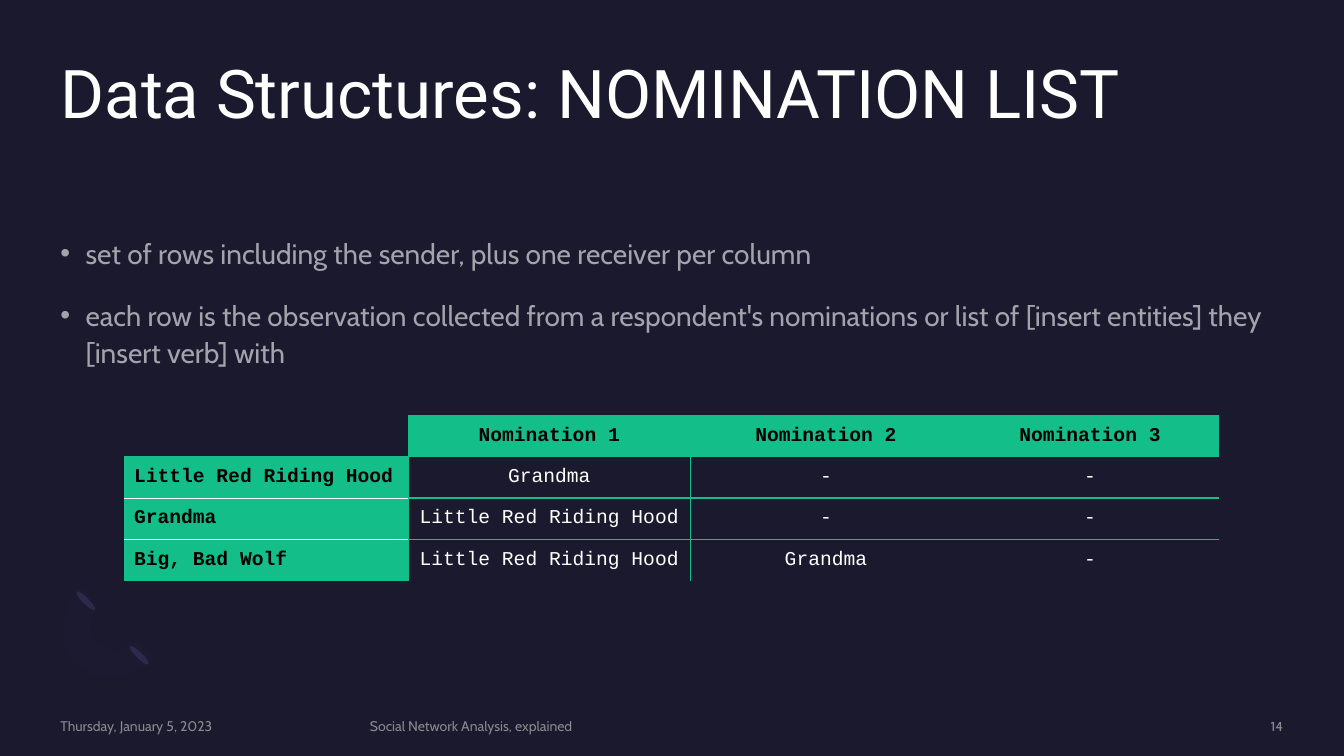
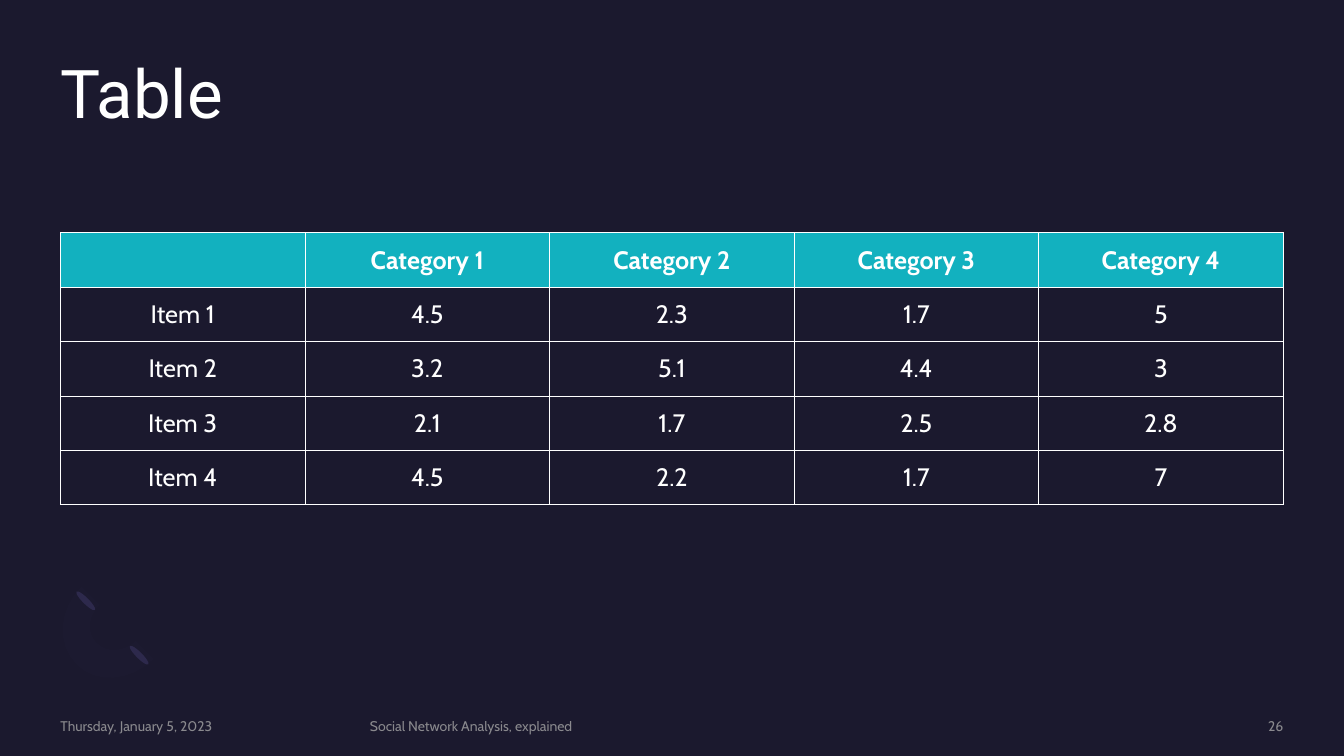
from dataclasses import dataclass

from lxml import etree
from pptx import Presentation
from pptx import util as u
from pptx.dml.color import RGBColor
from pptx.enum import shapes, text
from pptx.oxml.ns import qn


@dataclass(frozen=True)
class Theme:
    background: str = "1B192E"
    white: str = "FFFFFF"
    black: str = "000000"
    grey: str = "A6A6A6"
    green: str = "13BE89"
    teal: str = "12B1BF"
    petal: str = "2C284A"
    arc: str = "7771B2"
    title_font: str = "Roboto"
    body_font: str = "Cabin"
    code_font: str = "Courier New"
    title_size: int = 48
    body_size: int = 20
    grid_size: int = 18
    list_size: int = 14
    footer_size: int = 10


theme = Theme()
PX = 9144
LEFT, WIDTH = 60, 1213
ALIGN = text.PP_ALIGN
MIDDLE = text.MSO_ANCHOR.MIDDLE


def paint(fill, properties, color, alpha=100):
    fill.solid()
    fill.fore_color.rgb = RGBColor.from_string(color)
    if alpha < 100:
        tint = properties.find(qn("a:solidFill")).find(qn("a:srgbClr"))
        etree.SubElement(tint, qn("a:alpha"), val=str(alpha * 1000))


def write(frame, lines, *, font=theme.body_font, size=theme.body_size, color=theme.white,
          alpha=100, bold=False, align=ALIGN.LEFT, anchor=text.MSO_ANCHOR.TOP,
          spacing=None, before=0, after=0, bullet=None):
    frame.word_wrap = True
    frame.vertical_anchor = anchor
    for number, line in enumerate(lines):
        para = frame.add_paragraph() if number else frame.paragraphs[0]
        para.alignment = align
        para.line_spacing = spacing
        para.space_before, para.space_after = u.Pt(before), u.Pt(after)
        if bullet:
            layout = para._p.get_or_add_pPr()
            layout.set("marL", str(25 * PX))
            layout.set("indent", str(-25 * PX))
            etree.SubElement(layout, qn("a:buFont"), typeface="Arial")
            etree.SubElement(layout, qn("a:buChar"), char=bullet)
        span = para.add_run()
        span.text = line
        span.font.name, span.font.size, span.font.bold = font, u.Pt(size), bold
        paint(span.font.fill, span._r.get_or_add_rPr(), color, alpha)


title_style = dict(font=theme.title_font, size=theme.title_size, spacing=0.9)
body_style = dict(alpha=60, spacing=1.1, before=10, after=8, bullet="•")
footer_style = dict(size=theme.footer_size, color=theme.grey, alpha=80, anchor=MIDDLE)

contents = [
    dict(
        title="Data Structures: NOMINATION LIST",
        number="14",
        bullets=[
            "set of rows including the sender, plus one receiver per column",
            "each row is the observation collected from a respondent's nominations "
            "or list of [insert entities] they [insert verb] with",
        ],
        position=(123, 412), columns=[282, 280, 269, 255], row_height=41,
        gridded=False, accent=theme.green,
        font=theme.code_font, size=theme.list_size, accent_text=theme.black,
        rows=[
            ["", "Nomination 1", "Nomination 2", "Nomination 3"],
            ["Little Red Riding Hood", "Grandma", "-", "-"],
            ["Grandma", "Little Red Riding Hood", "-", "-"],
            ["Big, Bad Wolf", "Little Red Riding Hood", "Grandma", "-"],
        ],
    ),
    dict(
        title="Table",
        number="26",
        bullets=[],
        position=(LEFT, 231), columns=[WIDTH / 5] * 5, row_height=54,
        gridded=True, accent=theme.teal,
        font=theme.body_font, size=theme.grid_size, accent_text=theme.white,
        rows=[
            ["", "Category 1", "Category 2", "Category 3", "Category 4"],
            ["Item 1", "4.5", "2.3", "1.7", "5"],
            ["Item 2", "3.2", "5.1", "4.4", "3"],
            ["Item 3", "2.1", "1.7", "2.5", "2.8"],
            ["Item 4", "4.5", "2.2", "1.7", "7"],
        ],
    ),
]

arc_curves = [
    [(76, 659), (56, 639), (58, 605), (81, 582)],
    [(99, 600), (87, 611), (86, 629), (96, 638)],
    [(96, 638), (106, 648), (123, 647), (135, 636)],
    [(152, 654), (130, 676), (95, 679), (76, 659)],
]
STEPS = 8
arc_points = []
for curve in arc_curves:
    for step in range(STEPS + 1):
        t = step / STEPS
        weights = ((1 - t) ** 3, 3 * t * (1 - t) ** 2, 3 * t * t * (1 - t), t ** 3)
        arc_points.append(tuple(
            round(PX * sum(w * point[axis] for w, point in zip(weights, curve)))
            for axis in (0, 1)))

deck = Presentation()
deck.slide_width, deck.slide_height = u.Inches(13.333), 750 * PX
master_fill = deck.slide_master.background.fill
master_fill.solid()
master_fill.fore_color.rgb = RGBColor.from_string(theme.background)

for content in contents:
    page = deck.slides.add_slide(deck.slide_layouts[6])

    petals = [page.shapes.add_shape(shapes.MSO_SHAPE.OVAL, x * PX, y * PX, 6 * PX, 26 * PX)
              for x, y in ((135, 637), (82, 583))]
    for petal in petals:
        petal.rotation = 135
    builder = page.shapes.build_freeform(*arc_points[0])
    builder.add_line_segments(arc_points[1:], close=True)
    arc = builder.convert_to_shape()
    for ornament, color, alpha in [(petal, theme.petal, 100) for petal in petals] + [
            (arc, theme.arc, 2)]:
        ornament.shadow.inherit = False
        ornament.line.fill.background()
        paint(ornament.fill, ornament._element.spPr, color, alpha)

    boxes = [
        ((LEFT, 60, WIDTH, 146), [content["title"]], title_style),
        ((LEFT, 231, WIDTH, 435), content["bullets"], body_style),
        ((LEFT, 712, 288, 17), ["Thursday, January 5, 2023"], footer_style),
        ((367, 712, 698, 17), ["Social Network Analysis, explained"], footer_style),
        ((1088, 712, 185, 17), [content["number"]], footer_style | {"align": ALIGN.RIGHT}),
    ]
    for place, lines, style in boxes:
        if lines:
            box = page.shapes.add_textbox(*(length * PX for length in place))
            frame = box.text_frame
            frame.margin_left = frame.margin_right = frame.margin_top = frame.margin_bottom = 0
            write(frame, lines, **style)

    rows, columns = content["rows"], content["columns"]
    left, top = content["position"]
    table = page.shapes.add_table(
        len(rows), len(columns), left * PX, top * PX,
        round(sum(columns) * PX), len(rows) * content["row_height"] * PX).table
    table.first_row = table.horz_banding = False
    style_id = table._tbl.tblPr.find(qn("a:tableStyleId"))
    style_id.text = "{2D5ABB26-0587-4C30-8999-92F81FD0307C}"
    for column, width in zip(table.columns, columns):
        column.width = round(width * PX)

    for r, values in enumerate(rows):
        table.rows[r].height = content["row_height"] * PX
        for c, value in enumerate(values):
            cell = table.cell(r, c)
            if content["gridded"]:
                edges = {side: (theme.white, 0.75) for side in "LRTB"}
                accented = r == 0
            else:
                edges = {"L": (theme.green, 0.5)} if c == 1 else {}
                if c == 0:
                    edges["R"] = (theme.green, 0.5)
                for side, rule in (("T", r), ("B", r + 1)):
                    if 0 < rule < len(rows):
                        label_rule = c == 0 and rule > 1
                        edges[side] = (theme.white, 0.5) if label_rule else (theme.green, 1)
                accented = (r == 0) != (c == 0)

            properties = cell._tc.get_or_add_tcPr()
            for side, (color, points) in edges.items():
                edge = etree.SubElement(properties, qn(f"a:ln{side}"), w=str(u.Pt(points)))
                solid = etree.SubElement(edge, qn("a:solidFill"))
                etree.SubElement(solid, qn("a:srgbClr"), val=color)
            if accented:
                paint(cell.fill, properties, content["accent"])
            else:
                cell.fill.background()
            if value:
                label = c == 0 and not content["gridded"]
                write(cell.text_frame, [value], font=content["font"], size=content["size"],
                      color=content["accent_text"] if accented else theme.white,
                      bold=accented, align=ALIGN.LEFT if label else ALIGN.CENTER)
            cell.vertical_anchor = MIDDLE

deck.save("out.pptx")
